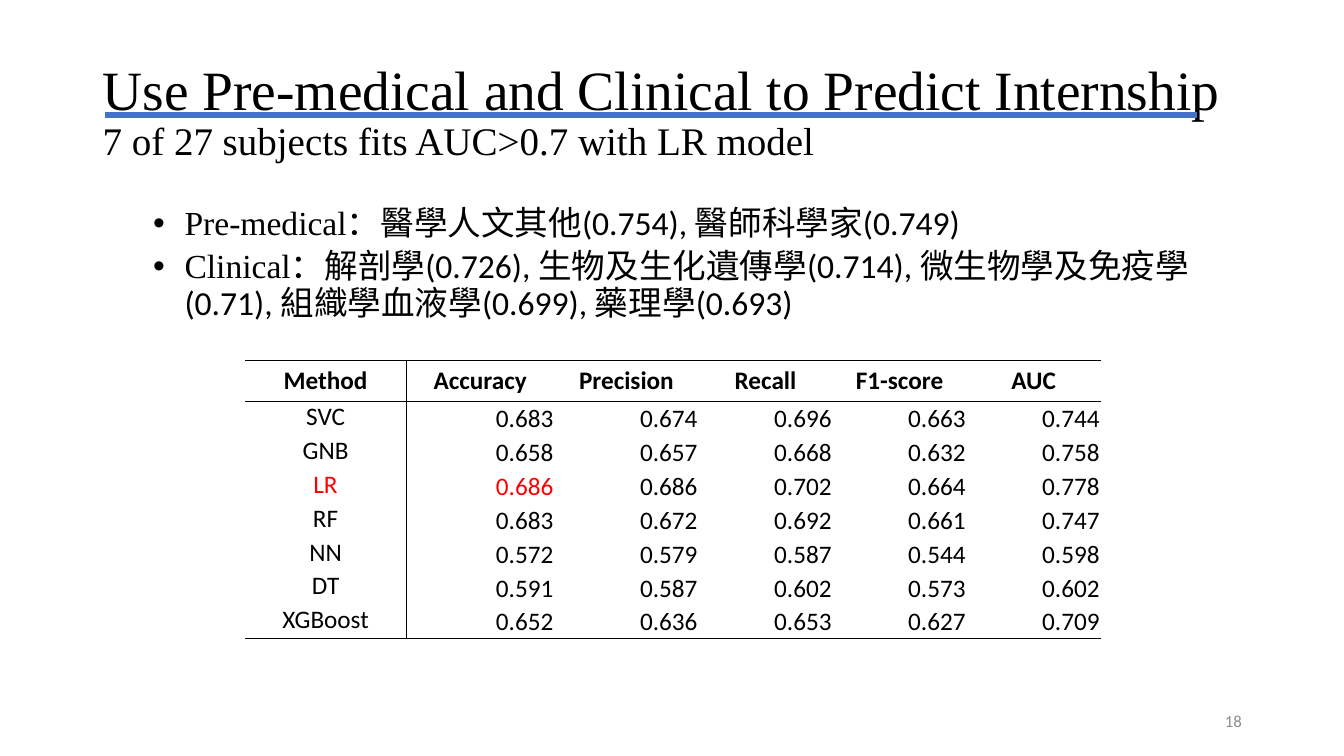
from dataclasses import dataclass

from lxml.etree import SubElement
from pptx import Presentation
from pptx.dml.color import RGBColor
from pptx.enum.shapes import MSO_CONNECTOR
from pptx.enum.text import MSO_ANCHOR, PP_ALIGN
from pptx.oxml import parse_xml
from pptx.oxml.ns import nsdecls, qn
from pptx.util import Pt

COLORS = {"ink": "000000", "best": "FF0000", "rule": "4472C4", "number": "8C8C8C"}
SERIF, SANS, HAN = "Times New Roman", "Calibri", "Noto Sans CJK SC"


@dataclass(frozen=True)
class Box:
    left: float
    top: float
    width: float
    height: float


@dataclass(frozen=True)
class Subject:
    name: str
    auc: float


@dataclass(frozen=True)
class Stage:
    label: str
    subjects: tuple[Subject, ...]


@dataclass(frozen=True)
class Score:
    method: str
    values: tuple[float, ...]
    best: bool = False


STAGES = (
    Stage("Pre-medical：", (Subject("醫學人文其他", 0.754), Subject("醫師科學家", 0.749))),
    Stage("Clinical：", (
        Subject("解剖學", 0.726),
        Subject("生物及生化遺傳學", 0.714),
        Subject("微生物學及免疫學", 0.71),
        Subject("組織學血液學", 0.699),
        Subject("藥理學", 0.693),
    )),
)
METRICS = ("Method", "Accuracy", "Precision", "Recall", "F1-score", "AUC")
SCORES = (
    Score("SVC", (0.683, 0.674, 0.696, 0.663, 0.744)),
    Score("GNB", (0.658, 0.657, 0.668, 0.632, 0.758)),
    Score("LR", (0.686, 0.686, 0.702, 0.664, 0.778), best=True),
    Score("RF", (0.683, 0.672, 0.692, 0.661, 0.747)),
    Score("NN", (0.572, 0.579, 0.587, 0.544, 0.598)),
    Score("DT", (0.591, 0.587, 0.602, 0.573, 0.602)),
    Score("XGBoost", (0.652, 0.636, 0.653, 0.627, 0.709)),
)
COLUMN_WIDTHS = (115.2, 105.84, 102.96, 95.76, 95.76, 95.76)
HEADER_HEIGHT, SCORE_HEIGHT = 29.2, 24.2


def write(paragraph, text: str, *, font: str = SANS, size: float = 18,
          color: str = "ink", bold: bool = False, align=None) -> None:
    if align is not None:
        paragraph.alignment = align
    run = paragraph.add_run()
    run.text = text
    run.font.name = font
    run.font.size = Pt(size)
    run.font.bold = bold
    run.font.color.rgb = RGBColor.from_string(COLORS[color])
    run.font.fill.solid()
    run.font.color.rgb = RGBColor.from_string(COLORS[color])
    latin = run.font._element.find(qn("a:latin"))
    latin.addnext(parse_xml(f'<a:ea {nsdecls("a")} typeface="{HAN}"/>'))


def add_frame(slide, box: Box, anchor=MSO_ANCHOR.TOP):
    frame = slide.shapes.add_textbox(
        Pt(box.left), Pt(box.top), Pt(box.width), Pt(box.height)).text_frame
    frame.word_wrap = True
    frame.vertical_anchor = anchor
    return frame


def add_title(slide) -> None:
    heading = add_frame(slide, Box(66.24, 28.8, 828, 104.4), MSO_ANCHOR.MIDDLE).paragraphs[0]
    heading.line_spacing = 0.9
    write(heading, "Use Pre-medical and Clinical to Predict Internship", font=SERIF, size=39.6)
    heading.add_line_break()
    write(heading, "7 of 27 subjects fits AUC>0.7 with LR model", font=SERIF, size=27.9)


def add_stages(slide, stages: tuple[Stage, ...]) -> None:
    frame = add_frame(slide, Box(66.24, 144, 828, 342.72))
    for index, stage in enumerate(stages):
        bullet = frame.add_paragraph() if index else frame.paragraphs[0]
        bullet.line_spacing = 0.9
        bullet.space_before = Pt(5)
        properties = bullet._p.get_or_add_pPr()
        properties.set("marL", str(Pt(58.5)))
        properties.set("indent", str(-Pt(22.5)))
        SubElement(properties, qn("a:buFont"), typeface="Arial")
        SubElement(properties, qn("a:buChar"), char="•")
        write(bullet, stage.label, font=SERIF, size=24)
        for subject in stage.subjects:
            ending = "" if subject is stage.subjects[-1] else ", "
            write(bullet, subject.name, font=HAN, size=24)
            write(bullet, f"({subject.auc}){ending}", size=24)


def set_borders(cell, drawn: dict[str, bool]) -> None:
    cell.fill.background()
    properties = cell._tc.get_or_add_tcPr()
    for index, (side, visible) in enumerate(drawn.items()):
        fill = (f'<a:solidFill><a:srgbClr val="{COLORS["ink"]}"/></a:solidFill>'
                if visible else "<a:noFill/>")
        properties.insert(index, parse_xml(
            f'<a:ln{side} {nsdecls("a")} w="{Pt(1)}">{fill}</a:ln{side}>'))


def set_margins(cell, side: float, top: float) -> None:
    cell.margin_left = cell.margin_right = Pt(side)
    cell.margin_top, cell.margin_bottom = Pt(top), Pt(0)


def add_scores(slide, scores: tuple[Score, ...]) -> None:
    height = HEADER_HEIGHT + SCORE_HEIGHT * len(scores)
    table = slide.shapes.add_table(
        len(scores) + 1, len(METRICS), Pt(174.96), Pt(257.76),
        Pt(sum(COLUMN_WIDTHS)), Pt(height)).table
    table.first_row = table.horz_banding = False
    for column, width in zip(table.columns, COLUMN_WIDTHS):
        column.width = Pt(width)
    for index, row in enumerate(table.rows):
        row.height = Pt(SCORE_HEIGHT if index else HEADER_HEIGHT)
        for position, cell in enumerate(row.cells):
            set_borders(cell, {
                "L": position == 1,
                "R": position == 0,
                "T": index in (0, 1),
                "B": index in (0, len(scores)),
            })

    for position, metric in enumerate(METRICS):
        write(table.cell(0, position).text_frame.paragraphs[0], metric,
              bold=True, align=PP_ALIGN.CENTER)
    for index, score in enumerate(scores, start=1):
        highlight = "best" if score.best else "ink"
        method = table.cell(index, 0)
        set_margins(method, 2.88, 0)
        write(method.text_frame.paragraphs[0], score.method,
              color=highlight, align=PP_ALIGN.CENTER)
        for position, value in enumerate(score.values, start=1):
            cell = table.cell(index, position)
            set_margins(cell, 0.72, 0.72)
            cell.vertical_anchor = MSO_ANCHOR.MIDDLE
            write(cell.text_frame.paragraphs[0], f"{value:.3f}",
                  color=highlight if position == 1 else "ink", align=PP_ALIGN.RIGHT)


def add_rule(slide) -> None:
    rule = slide.shapes.add_connector(
        MSO_CONNECTOR.STRAIGHT, Pt(74.88), Pt(82.08), Pt(855.36), Pt(82.08))
    rule.line.color.rgb = RGBColor.from_string(COLORS["rule"])
    rule.line.width = Pt(4.5)
    SubElement(rule._element.spPr, qn("a:effectLst"))


def main() -> None:
    presentation = Presentation()
    presentation.slide_width, presentation.slide_height = Pt(960), Pt(540)
    slide = presentation.slides.add_slide(presentation.slide_layouts[6])
    add_title(slide)
    add_stages(slide, STAGES)
    page = add_frame(slide, Box(678.24, 500.4, 216, 28.8), MSO_ANCHOR.MIDDLE)
    write(page.paragraphs[0], "18", size=12, color="number", align=PP_ALIGN.RIGHT)
    add_scores(slide, SCORES)
    add_rule(slide)
    presentation.save("out.pptx")


if __name__ == "__main__":
    main()
